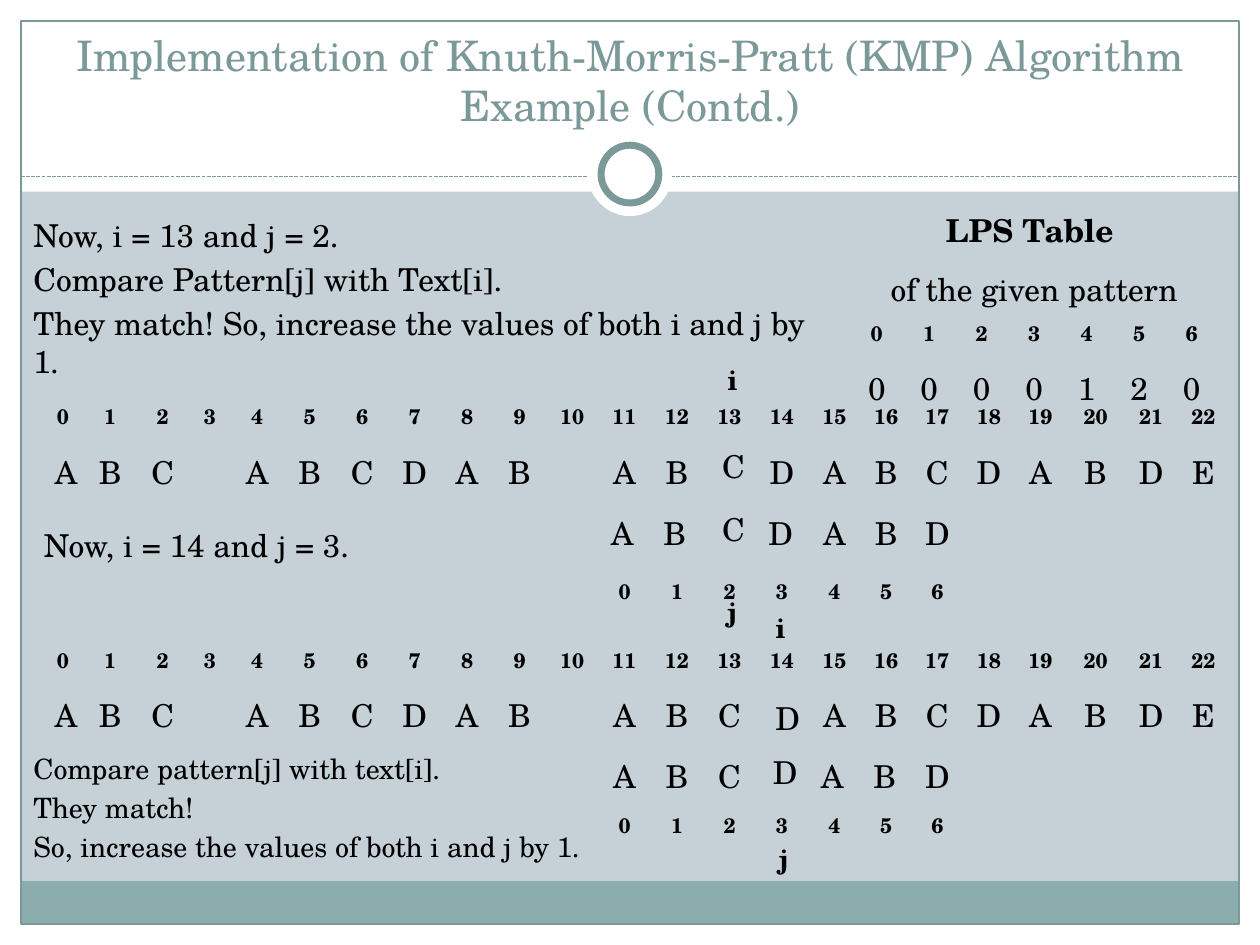
from dataclasses import dataclass

from lxml import etree
from pptx import Presentation
from pptx.dml.color import RGBColor
from pptx.enum import dml, shapes, text
from pptx.oxml import ns
from pptx.util import Pt


@dataclass(frozen=True)
class Theme:
    font: str = "TeX Gyre Schola"
    ink: str = "000000"
    accent: str = "7C999A"
    band: str = "8CADAE"
    paper: str = "FFFFFF"
    background: str = "C5D1D7"
    title: float = 24
    body: float = 18
    note: float = 16
    index: float = 12


@dataclass(frozen=True)
class Step:
    """One comparison; places of the loose letters are offsets from the table."""
    matched: int
    heights: tuple
    left_aligned: tuple
    text_at: tuple
    pattern_at: tuple
    i_at: tuple
    j_at: tuple


THEME = Theme()
SEARCHED = "ABC ABCDAB ABCDABCDABDE"
PATTERN = "ABCDABD"
SHIFT = 11
LPS = "0000120"
COLUMNS = [24, 30, 30, 24] + [30] * 12 + [29] + [29.5] * 3 + [33.5, 30, 30]
NO_TABLE_STYLE = "{2D5ABB26-0587-4C30-8999-92F81FD0307C}"

FIRST_STEP = Step(13, (27, 36, 34, 33), (11, 12, 14),
                  (381.5, 27.5), (381.5, 63.5), (384.5, -21), (384.5, 111.5))
SECOND_STEP = Step(14, (27, 36, 32, 23), (15, 16),
                   (412, 32.5), (410.5, 63.5), (412, -18), (414, 114))


def color(value):
    return RGBColor.from_string(value)


def add_run(paragraph, words, size, bold=False, ink=THEME.ink):
    run = paragraph.add_run()
    run.text = words
    run.font.name = THEME.font
    run.font.size = Pt(size)
    run.font.bold = bold
    run.font.color.rgb = color(ink)


def add_shape(slide, kind, box, fill=None, line=None, width=0.75):
    shape = slide.shapes.add_shape(kind, *map(Pt, box))
    shape.shadow.inherit = False
    if fill:
        shape.fill.solid()
        shape.fill.fore_color.rgb = color(fill)
    else:
        shape.fill.background()
    if line:
        shape.line.color.rgb = color(line)
        shape.line.width = Pt(width)
    else:
        shape.line.fill.background()


def add_frame(slide, box):
    """Draw the white margins, bottom band, outline, dashed rule and ring."""
    left, top, width, height = box
    right, bottom = left + width, top + height
    rectangle, oval = shapes.MSO_SHAPE.RECTANGLE, shapes.MSO_SHAPE.OVAL
    margin, header = 12, 109.5
    for edge in ((left, bottom - margin, width, margin),
                 (left, top, width, header),
                 (left, top, margin, height),
                 (right - margin, top, margin, height)):
        add_shape(slide, rectangle, edge, THEME.paper)
    inner_width = width - 2 * margin
    add_shape(slide, rectangle,
              (left + margin, bottom - 36.5, inner_width, 24.5), THEME.band)
    add_shape(slide, rectangle,
              (left + margin, top + margin, inner_width, height - 2 * margin),
              line=THEME.accent)

    rule = slide.shapes.add_connector(
        shapes.MSO_CONNECTOR.STRAIGHT,
        Pt(left + margin), Pt(top + 101), Pt(right - margin), Pt(top + 101))
    rule.line.color.rgb = color(THEME.accent)
    rule.line.width = Pt(0.75)
    rule.line.dash_style = dml.MSO_LINE.SQUARE_DOT
    etree.SubElement(rule.element.spPr, ns.qn("a:effectLst"))

    center_x, center_y = left + width / 2, top + 99.5
    for diameter, line in ((48, None), (33, THEME.accent)):
        radius = diameter / 2
        add_shape(slide, oval,
                  (center_x - radius, center_y - radius, diameter, diameter),
                  THEME.paper, line, 4)


def add_title(slide, box, lines):
    frame = slide.shapes.add_textbox(*map(Pt, box)).text_frame
    frame.word_wrap = True
    frame.vertical_anchor = text.MSO_ANCHOR.BOTTOM
    paragraph = frame.paragraphs[0]
    paragraph.alignment = text.PP_ALIGN.CENTER
    for number, line in enumerate(lines):
        if number:
            paragraph.add_line_break()
        add_run(paragraph, line, THEME.title, ink=THEME.accent)


def add_notes_block(slide, box, lines, size):
    frame = slide.shapes.add_textbox(*map(Pt, box)).text_frame
    frame.word_wrap = True
    for number, line in enumerate(lines):
        paragraph = frame.add_paragraph() if number else frame.paragraphs[0]
        paragraph.space_before = Pt(0.2 * size)
        add_run(paragraph, line, size)


def add_letter(slide, origin, offset, letter, size, bold=False):
    left, top = (start + step for start, step in zip(origin, offset))
    box = slide.shapes.add_textbox(Pt(left), Pt(top), Pt(26), Pt(28))
    box.text_frame.word_wrap = False
    add_run(box.text_frame.paragraphs[0], letter, size, bold)


def add_plain_table(slide, origin, widths, heights):
    box = (*origin, sum(widths), sum(heights))
    frame = slide.shapes.add_table(len(heights), len(widths), *map(Pt, box))
    table = frame.table
    table.first_row = table.horz_banding = False
    for style in frame.element.iter(ns.qn("a:tableStyleId")):
        style.text = NO_TABLE_STYLE
    for column, width in zip(table.columns, widths):
        column.width = Pt(width)
    for row, height in zip(table.rows, heights):
        row.height = Pt(height)
    for cell in table.iter_cells():
        cell.fill.background()
        cell.vertical_anchor = text.MSO_ANCHOR.MIDDLE
    return table


def fill_cell(cell, words, size, bold=False, align=text.PP_ALIGN.CENTER):
    paragraph = cell.text_frame.paragraphs[0]
    paragraph.alignment = align
    if words.strip():
        add_run(paragraph, words, size, bold)
    else:
        etree.SubElement(paragraph._p, ns.qn("a:endParaRPr"),
                         sz=str(THEME.index * 100))


def add_step(slide, origin, step):
    """Lay the pattern under the text, with i and j at the matched letter."""
    table = add_plain_table(slide, origin, COLUMNS, step.heights)
    for column, letter in enumerate(SEARCHED):
        place = column - SHIFT
        covered = 0 <= place < len(PATTERN)
        matched = column == step.matched
        align = (text.PP_ALIGN.LEFT if column in step.left_aligned
                 else text.PP_ALIGN.CENTER)
        fill_cell(table.cell(0, column), str(column), THEME.index, True)
        fill_cell(table.cell(1, column), "" if matched else letter, THEME.body)
        fill_cell(table.cell(2, column),
                  PATTERN[place] if covered and not matched else "",
                  THEME.body, align=align)
        fill_cell(table.cell(3, column), str(place) if covered else "",
                  THEME.index, True)
    for offset in (step.text_at, step.pattern_at):
        add_letter(slide, origin, offset, SEARCHED[step.matched], THEME.body)
    add_letter(slide, origin, step.i_at, "i", THEME.note, True)
    add_letter(slide, origin, step.j_at, "j", THEME.note, True)


def add_lps_table(slide, origin):
    table = add_plain_table(slide, origin, [30] * len(LPS), (62, 29, 30))
    heading = table.cell(0, 0)
    heading.merge(table.cell(0, len(LPS) - 1))
    fill_cell(heading, "LPS Table ", THEME.body, True)
    paragraph = heading.text_frame.add_paragraph()
    paragraph.alignment = text.PP_ALIGN.CENTER
    paragraph.space_before = Pt(6.4)
    add_run(paragraph, "of the given pattern", THEME.body)
    for column, value in enumerate(LPS):
        fill_cell(table.cell(1, column), str(column), THEME.index, True)
        fill_cell(table.cell(2, column), value, THEME.body)


def main():
    presentation = Presentation()
    presentation.slide_width, presentation.slide_height = Pt(720), Pt(540)
    slide = presentation.slides.add_slide(presentation.slide_layouts[6])
    slide.background.fill.solid()
    slide.background.fill.fore_color.rgb = color(THEME.background)

    add_frame(slide, (0, 0, 720, 540))
    add_title(slide, (24, 18, 672, 60),
              ["Implementation of Knuth-Morris-Pratt (KMP) Algorithm", "Example (Contd.)"])
    add_notes_block(slide, (12, 120, 462, 88.5), [
        "Now, i = 13 and j = 2.", "Compare Pattern[j] with Text[i].",
        "They match! So, increase the values of both i and j by 1."], THEME.body)
    add_lps_table(slide, (486, 114))
    add_step(slide, (24, 224.5), FIRST_STEP)
    add_notes_block(slide, (18, 297, 204, 33), ["Now, i = 14 and j = 3."], THEME.body)
    add_step(slide, (24, 363.5), SECOND_STEP)
    add_notes_block(slide, (12, 426, 342, 78), [
        "Compare pattern[j] with text[i].", "They match!",
        "So, increase the values of both i and j by 1."], THEME.note)
    presentation.save("out.pptx")


if __name__ == "__main__":
    main()
